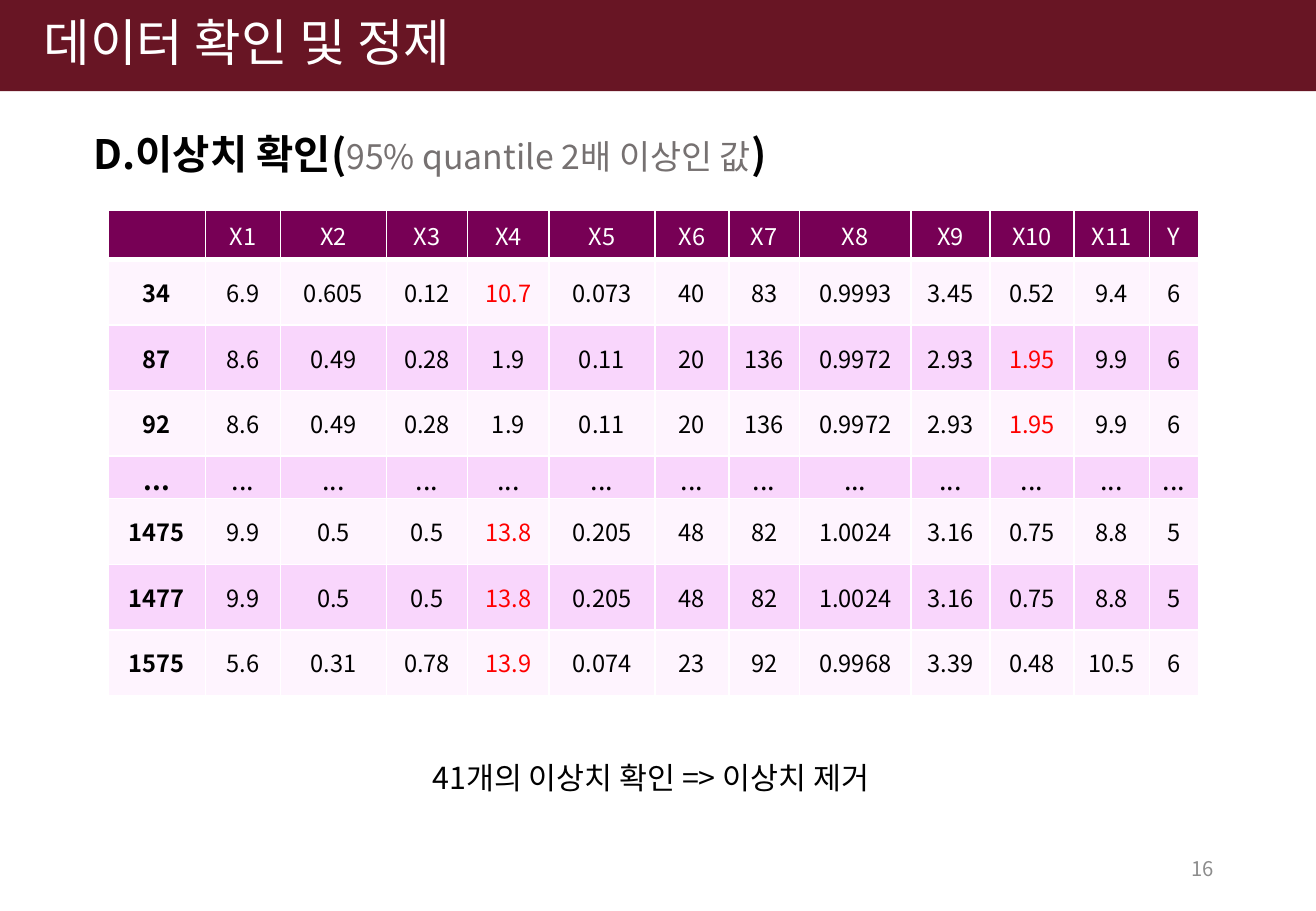
from dataclasses import dataclass
from typing import Any, NamedTuple

from lxml import etree
from pptx import Presentation
from pptx import util as u
from pptx.dml import color
from pptx.enum import shapes, text
from pptx.oxml import ns


@dataclass(frozen=True)
class Theme:
    font: str = "Noto Sans CJK KR"
    bar: str = "681524"
    head: str = "770055"
    bands: tuple[str, str] = ("F9D6FC", "FEF4FE")
    white: str = "FFFFFF"
    black: str = "000000"
    red: str = "FF0000"
    gray: str = "767171"
    pale: str = "8C8C8C"
    title: int = 30
    lead: int = 24
    sub: int = 20
    note: int = 18
    dots: int = 16
    cell: int = 14
    page: int = 12


class Area(NamedTuple):
    """Left, top, width and height in percent of the slide."""
    left: float
    top: float
    width: float
    height: float


class Run(NamedTuple):
    words: str
    size: int
    tint: str
    bold: bool = False


class Label(NamedTuple):
    area: Area
    runs: list[Run]
    align: Any = text.PP_ALIGN.LEFT
    anchor: Any = text.MSO_ANCHOR.TOP


T = Theme()
WIDE, HIGH = u.Inches(10.83), u.Inches(7.5)
DOTS = "..."

BAR = Area(0, 0, 100, 10)
TITLE = Label(Area(2.4, 1.33, 92.34, 10), [Run("데이터 확인 및 정제", T.title, T.white)])
LABELS = [
    Label(Area(6.19, 13.47, 63.53, 6.8), [
        Run("D.이상치 확인(", T.lead, T.black, True),
        Run("95% quantile 2배 이상인 값", T.sub, T.gray),
        Run(")", T.lead, T.black, True)]),
    Label(Area(31.95, 82.67, 51.52, 5.33),
          [Run("41개의 이상치 확인 => 이상치 제거", T.note, T.black)]),
    Label(Area(70.64, 92.67, 22.53, 5.33), [Run("16", T.page, T.pale)],
          text.PP_ALIGN.RIGHT, text.MSO_ANCHOR.MIDDLE),
]

GRID = Area(8.22, 23.07, 82.92, 52.93)
COLS = [80, 62, 87, 67, 67, 87, 61, 58, 92, 65, 69, 62, 41]
ROWS = [39, 54, 54, 54, 34, 54, 54, 54]
HEAD = ["", *(f"X{n}" for n in range(1, 12)), "Y"]
DATA = [line.split() for line in (
    "34 6.9 0.605 0.12 10.7 0.073 40 83 0.9993 3.45 0.52 9.4 6",
    "87 8.6 0.49 0.28 1.9 0.11 20 136 0.9972 2.93 1.95 9.9 6",
    "92 8.6 0.49 0.28 1.9 0.11 20 136 0.9972 2.93 1.95 9.9 6",
    " ".join([DOTS] * len(HEAD)),
    "1475 9.9 0.5 0.5 13.8 0.205 48 82 1.0024 3.16 0.75 8.8 5",
    "1477 9.9 0.5 0.5 13.8 0.205 48 82 1.0024 3.16 0.75 8.8 5",
    "1575 5.6 0.31 0.78 13.9 0.074 23 92 0.9968 3.39 0.48 10.5 6",
)]
LIMITS = {"X4": 10, "X10": 1.9}  # values above these are outliers


def place(area: Area) -> tuple[int, int, int, int]:
    return (int(WIDE * area.left / 100), int(HIGH * area.top / 100),
            int(WIDE * area.width / 100), int(HIGH * area.height / 100))


def apply(item: Any, form: dict[str, Any]) -> None:
    for key, value in form.items():
        setattr(item, key, value)


def paint(item: Any, tint: str) -> None:
    item.fill.solid()
    item.fill.fore_color.rgb = color.RGBColor.from_string(tint)


def write(frame: Any, runs: list[Run], align: Any) -> None:
    para = frame.paragraphs[0]
    para.alignment = align
    for part in runs:
        run = para.add_run()
        run.text = part.words
        apply(run.font, {"name": T.font, "size": u.Pt(part.size), "bold": part.bold})
        run.font.color.rgb = color.RGBColor.from_string(part.tint)
        east = etree.SubElement(run._r.get_or_add_rPr(), ns.qn("a:ea"))
        east.set("typeface", T.font)


def fill(shape: Any, label: Label) -> None:
    apply(shape.text_frame, {"word_wrap": True, "vertical_anchor": label.anchor,
                             "auto_size": text.MSO_AUTO_SIZE.NONE})
    write(shape.text_frame, label.runs, label.align)


def edge(cell: Any, base: int) -> None:
    """Draw white borders; base is the width of the lower one."""
    prop = cell._tc.get_or_add_tcPr()
    for spot, (side, size) in enumerate({"L": 1, "R": 1, "T": 1, "B": base}.items()):
        line = etree.Element(ns.qn(f"a:ln{side}"), w=str(u.Pt(size)))
        solid = etree.SubElement(line, ns.qn("a:solidFill"))
        etree.SubElement(solid, ns.qn("a:srgbClr"), val=T.white)
        prop.insert(spot, line)


def style(row: int, col: int, words: str) -> Run:
    if row == 0:
        return Run(words, T.cell, T.white)
    if words == DOTS:
        return Run(words, T.dots, T.black, col == 0)
    limit = LIMITS.get(HEAD[col])
    over = limit is not None and float(words) > limit
    return Run(words, T.cell, T.red if over else T.black, col == 0)


def tabulate(slide: Any) -> None:
    area = place(GRID)
    table = slide.shapes.add_table(len(ROWS), len(COLS), *area).table
    for col, part in zip(table.columns, COLS):
        col.width = int(area[2] * part / sum(COLS))
    for row, part in zip(table.rows, ROWS):
        row.height = int(area[3] * part / sum(ROWS))
    for r, line in enumerate([HEAD, *DATA]):
        for c, words in enumerate(line):
            cell = table.cell(r, c)
            paint(cell, T.bands[r % 2] if r else T.head)
            edge(cell, 1 if r else 3)
            cell.vertical_anchor = text.MSO_ANCHOR.MIDDLE
            if words == DOTS:
                apply(cell, {"vertical_anchor": text.MSO_ANCHOR.TOP,
                             "margin_top": u.Inches(0.03), "margin_bottom": 0})
            if words:
                write(cell.text_frame, [style(r, c, words)], text.PP_ALIGN.CENTER)


def main() -> None:
    prs = Presentation()
    apply(prs, {"slide_width": WIDE, "slide_height": HIGH})
    slide = prs.slides.add_slide(prs.slide_layouts[5])

    # Header bar behind the title
    bar = slide.shapes.add_shape(shapes.MSO_SHAPE.RECTANGLE, *place(BAR))
    paint(bar, T.bar)
    bar.line.fill.background()
    bar.shadow.inherit = False
    slide.shapes._spTree.insert(2, bar._element)

    # Title
    title = slide.shapes.title
    apply(title, dict(zip(("left", "top", "width", "height"), place(TITLE.area))))
    fill(title, TITLE)
    title.text_frame.paragraphs[0].line_spacing = 0.9

    # Outlier table
    tabulate(slide)

    # Heading, conclusion and page number
    for label in LABELS:
        fill(slide.shapes.add_textbox(*place(label.area)), label)

    prs.save("out.pptx")


if __name__ == "__main__":
    main()
